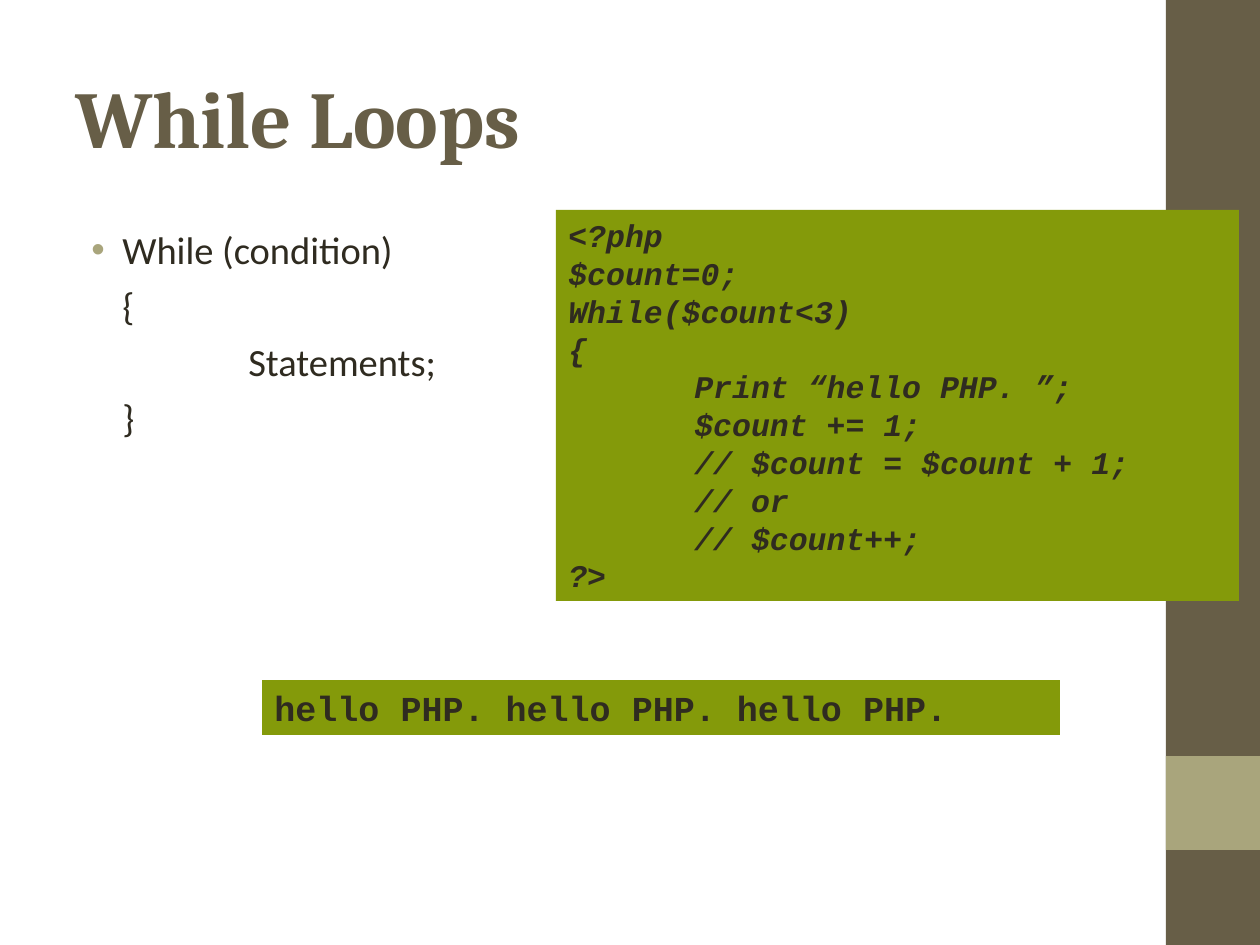
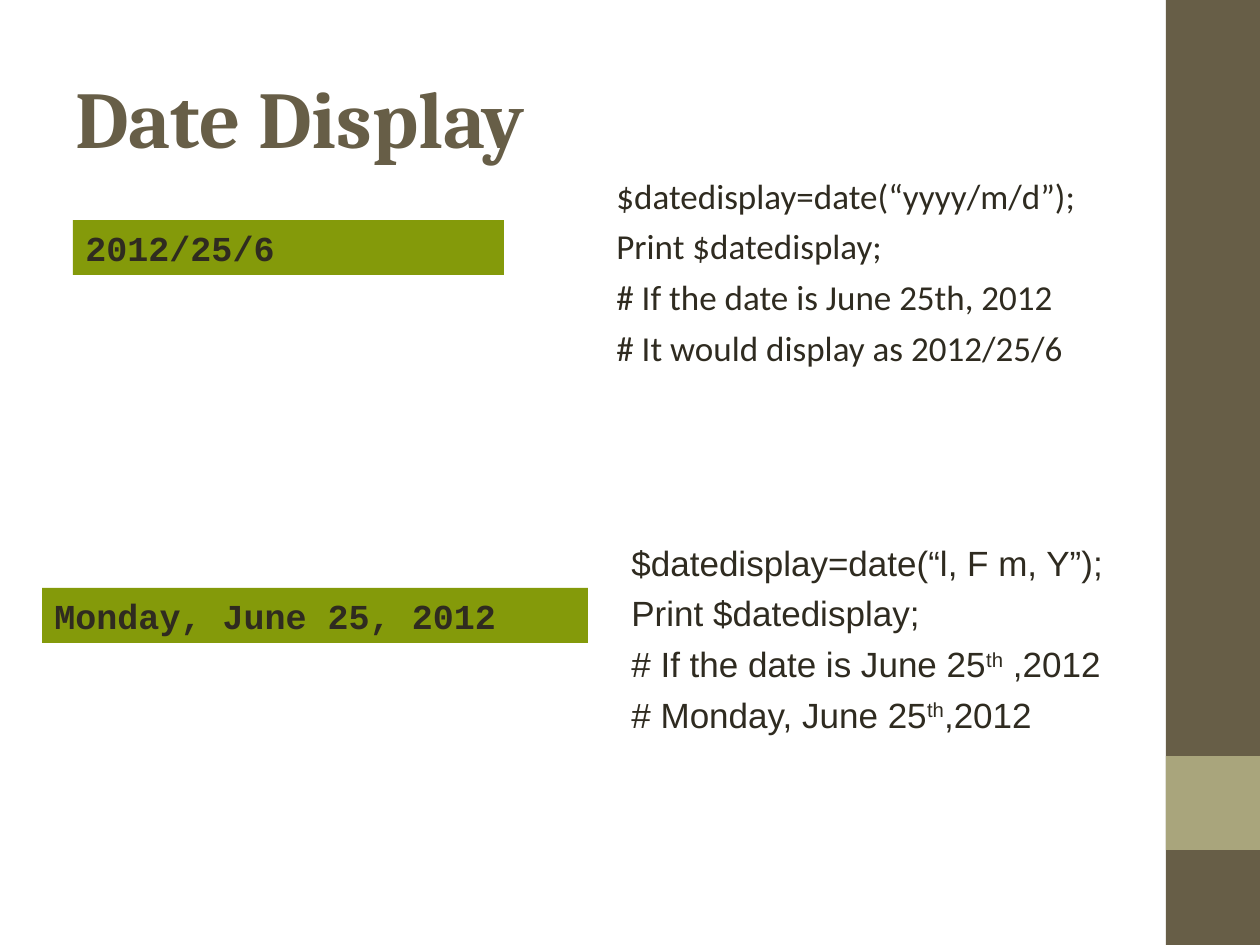
from dataclasses import dataclass
from typing import Optional

from lxml import etree
from pptx import Presentation
from pptx import util as u
from pptx.dml.color import RGBColor
from pptx.enum import shapes, text
from pptx.oxml import ns

PX_PER_INCH = 126
SLIDE_W, SLIDE_H = 1260, 945
BAND_X, BAND_W = 1166, 94
CODE_INDENT = 126
BULLET_HANG = 31
LINE_HEIGHT = 1.2

BROWN = RGBColor(0x67, 0x5E, 0x47)
KHAKI = RGBColor(0xA9, 0xA5, 0x7C)
GREEN = RGBColor(0x84, 0x9A, 0x0A)
INK = RGBColor(0x2F, 0x2B, 0x20)


@dataclass(frozen=True)
class Style:
    font: str
    size: int
    bold: bool = False
    italic: bool = False
    color: RGBColor = INK
    before: float = 0
    margin: int = 0
    bullet: bool = False
    anchor: text.MSO_ANCHOR = text.MSO_ANCHOR.TOP
    fill: Optional[RGBColor] = None


@dataclass(frozen=True)
class Block:
    x: int
    y: int
    w: int
    h: int
    style: Style
    lines: tuple[str, ...]


TITLE = Style("Cambria", 46, bold=True, color=BROWN, anchor=text.MSO_ANCHOR.MIDDLE)
SYNTAX = Style("Calibri", 22, before=5.5, margin=47, bullet=True)
DATE_CODE = Style("Calibri", 20, before=5, margin=16)
LONG_DATE_CODE = Style("Arial", 20, before=5)
LISTING = Style("Courier New", 18, bold=True, italic=True, fill=GREEN)
OUTPUT = Style("Courier New", 20, bold=True, fill=GREEN)

WHILE_LOOPS = (
    Block(63, 220, 1050, 662, SYNTAX, (
        "While (condition)", "{", "\tStatements;", "}")),
    Block(556, 210, 683, 391, LISTING, (
        "<?php",
        "$count=0;",
        "While($count<3)",
        "{",
        "\tPrint “hello PHP. ”;",
        "\t$count += 1;",
        "\t// $count = $count + 1;",
        "\t// or",
        "\t// $count++;",
        "?>")),
    Block(262, 680, 798, 55, OUTPUT, ("hello PHP. hello PHP. hello PHP.",)),
)

DATE_DISPLAY = (
    Block(588, 168, 588, 242, DATE_CODE, (
        "$datedisplay=date(“yyyy/m/d”);",
        "Print $datedisplay;",
        "# If the date is June 25th, 2012",
        "# It would display as 2012/25/6")),
    Block(73, 220, 431, 55, OUTPUT, ("2012/25/6",)),
    Block(619, 535, 588, 242, LONG_DATE_CODE, (
        "$datedisplay=date(“l, F m, Y”);",
        "Print $datedisplay;",
        "# If the date is June 25^th^ ,2012",
        "# Monday, June 25^th^,2012")),
    Block(42, 588, 546, 55, OUTPUT, ("Monday, June 25, 2012",)),
)


def px(n: int) -> int:
    return round(n * u.Inches(1) / PX_PER_INCH)


def add_rect(s, x: int, y: int, w: int, h: int, color: RGBColor):
    sp = s.shapes.add_shape(shapes.MSO_SHAPE.RECTANGLE, px(x), px(y), px(w), px(h))
    sp.shadow.inherit = False
    sp.fill.solid()
    sp.fill.fore_color.rgb = color
    sp.line.fill.background()
    return sp


def add_child(parent, tag: str, **attrs: str):
    return etree.SubElement(parent, ns.qn(tag), attrs)


def format_paragraph(p, style: Style, depth: int, first: bool) -> None:
    bulleted = style.bullet and first
    pPr = p._p.get_or_add_pPr()
    pPr.set("marL", str(px(style.margin + depth * CODE_INDENT)))
    pPr.set("indent", str(px(-BULLET_HANG if bulleted else 0)))
    if bulleted:
        add_child(add_child(pPr, "a:buClr"), "a:srgbClr", val=str(KHAKI))
        add_child(pPr, "a:buFont", typeface="Arial")
        add_child(pPr, "a:buChar", char="•")
    else:
        add_child(pPr, "a:buNone")
    p.alignment = text.PP_ALIGN.LEFT
    p.line_spacing = u.Pt(style.size * LINE_HEIGHT)
    p.space_before = u.Pt(0 if first else style.before)
    p.font.name = style.font
    p.font.size = u.Pt(style.size)
    p.font.bold = style.bold
    p.font.italic = style.italic
    p.font.color.rgb = style.color


def add_block(s, block: Block) -> None:
    box = (block.x, block.y, block.w, block.h)
    style = block.style
    if style.fill is None:
        sp = s.shapes.add_textbox(*map(px, box))
    else:
        sp = add_rect(s, *box, style.fill)
    tf = sp.text_frame
    tf.word_wrap = True
    tf.vertical_anchor = style.anchor
    for i, line in enumerate(block.lines):
        p = tf.paragraphs[0] if i == 0 else tf.add_paragraph()
        format_paragraph(p, style, line.count("\t"), first=i == 0)
        for j, part in enumerate(line.lstrip("\t").split("^")):
            r = p.add_run()
            r.text = part
            if j % 2:
                r._r.get_or_add_rPr().set("baseline", "30000")


def add_slide(prs, title: str, blocks: tuple[Block, ...]) -> None:
    s = prs.slides.add_slide(prs.slide_layouts[6])
    add_rect(s, BAND_X, 0, BAND_W, SLIDE_H, BROWN)
    add_rect(s, BAND_X, 756, BAND_W, BAND_W, KHAKI)
    add_block(s, Block(63, 38, 1050, 157, TITLE, (title,)))
    for block in blocks:
        add_block(s, block)


def main() -> None:
    prs = Presentation()
    prs.slide_width = px(SLIDE_W)
    prs.slide_height = px(SLIDE_H)
    add_slide(prs, "While Loops", WHILE_LOOPS)
    add_slide(prs, "Date Display", DATE_DISPLAY)
    prs.save("out.pptx")


if __name__ == "__main__":
    main()
